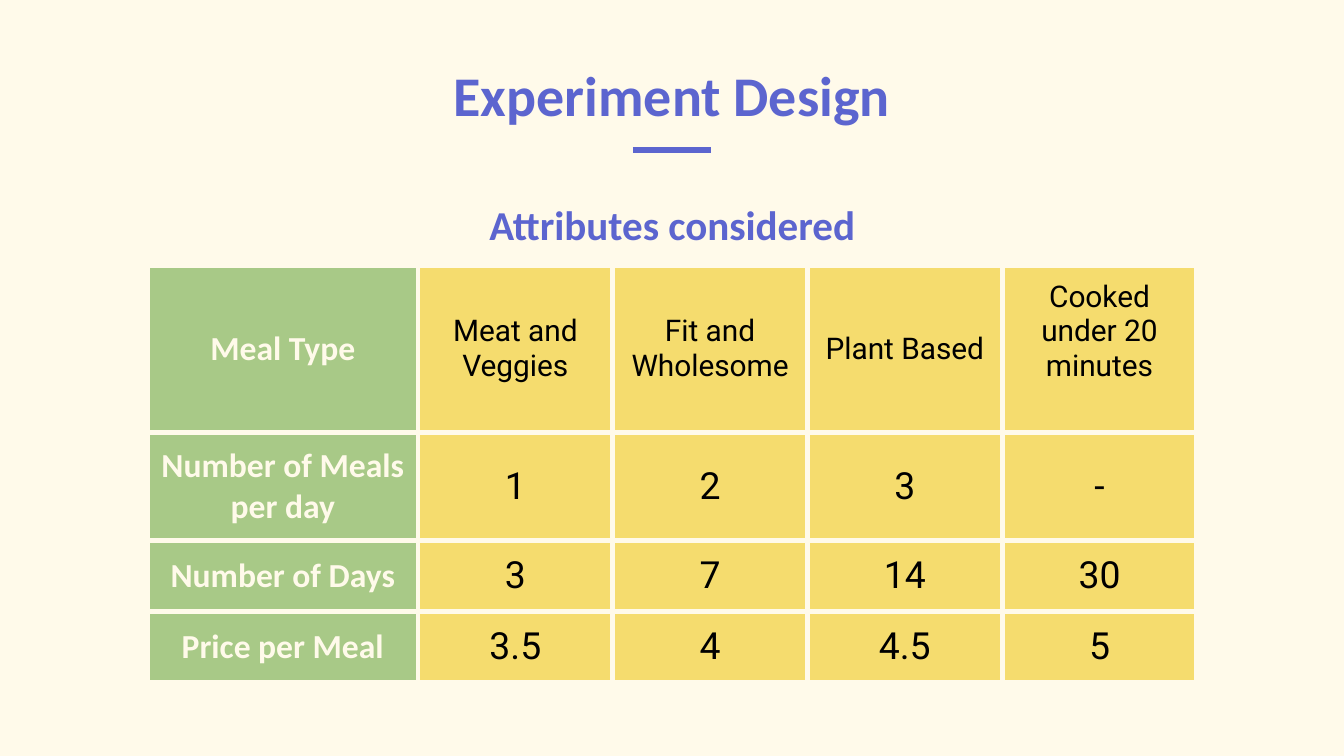
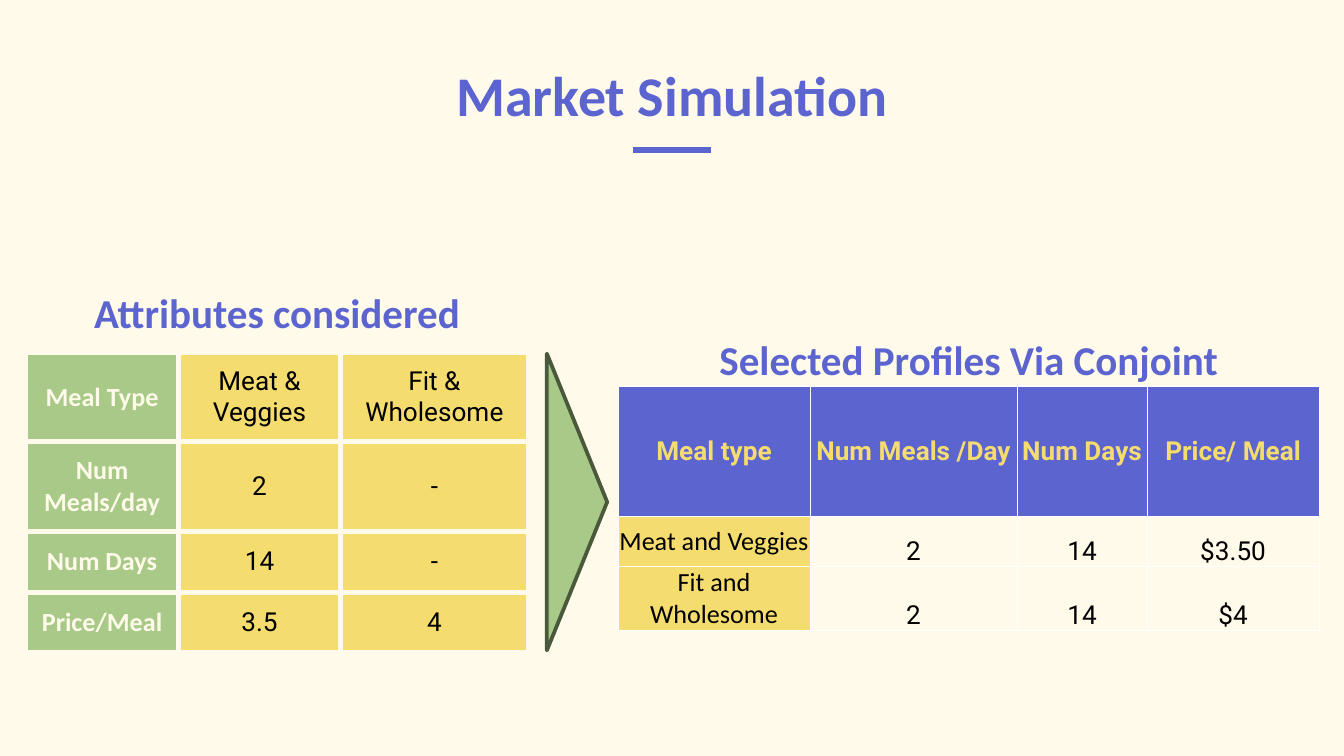
"""Build two slides on the design and simulation of a meal plan study."""
import lxml.etree
import pptx
import pptx.dml.color
import pptx.enum.shapes
import pptx.enum.text
import pptx.oxml.ns
import pptx.util

Cm = pptx.util.Cm
Pt = pptx.util.Pt
CENTER = pptx.enum.text.PP_ALIGN.CENTER
MIDDLE = pptx.enum.text.MSO_ANCHOR.MIDDLE
BOTTOM = pptx.enum.text.MSO_ANCHOR.BOTTOM
qn = pptx.oxml.ns.qn

COLORS = {
    "cream": "FFFAEA",
    "indigo": "5C65CF",
    "green": "A8C987",
    "moss": "4A583B",
    "yellow": "F5DC6E",
    "white": "FFFFFF",
    "black": "000000",
}


def look(color, size, name="Calibri", bold=True, fill=None, anchor=MIDDLE):
    font = {"name": name, "size": Pt(size), "bold": bold}
    return {"color": color, "font": font, "fill": fill, "anchor": anchor}


LOOKS = {
    "title": look("indigo", 30, anchor=BOTTOM),
    "caption": look("indigo", 22),
    "low caption": look("indigo", 22, anchor=BOTTOM),
    "label": look("cream", 18, fill="green"),
    "small label": look("cream", 14, fill="green"),
    "option": look("black", 16, "Roboto", False, "yellow"),
    "level": look("black", 20, "Roboto", False, "yellow"),
    "small level": look("black", 14, "Roboto", False, "yellow"),
    "heading": look("yellow", 14, "Roboto", True, "indigo"),
    "profile": look("black", 14, "Calibri", False, "yellow"),
    "figure": look("black", 14, "Roboto", False, None, BOTTOM),
}


class Deck:
    def __init__(self):
        self.presentation = pptx.Presentation()
        self.presentation.slide_width = Cm(25.4)
        self.presentation.slide_height = Cm(14.29)
        self.paint(self.presentation.slide_master.background.fill, "cream")
        self.slide = None

    def rgb(self, color):
        return pptx.dml.color.RGBColor.from_string(COLORS[color])

    def assign(self, target, values):
        for attribute, value in values.items():
            setattr(target, attribute, value)

    def paint(self, fill, color):
        if color is None:
            fill.background()
        else:
            fill.solid()
            fill.fore_color.rgb = self.rgb(color)

    def stroke(self, line, color, width):
        line.color.rgb = self.rgb(color)
        line.width = Pt(width)

    def put_text(self, frame, text, style):
        frame.text = text
        paragraph = frame.paragraphs[0]
        paragraph.alignment = CENTER
        font = paragraph.runs[0].font
        self.assign(font, style["font"])
        font.color.rgb = self.rgb(style["color"])

    def margins(self, target, size):
        sides = ("left", "top", "right", "bottom")
        self.assign(target, {f"margin_{side}": Cm(size) for side in sides})

    def place(self, shape, left, top, width, height):
        self.assign(shape, {"left": Cm(left), "top": Cm(top),
                            "width": Cm(width), "height": Cm(height)})

    def start(self, heading):
        layout = self.presentation.slide_layouts[5]
        self.slide = self.presentation.slides.add_slide(layout)
        title = self.slide.shapes.title
        self.place(title, 1.98, 0.56, 21.44, 2.11)
        self.put_text(title.text_frame, heading, LOOKS["title"])
        self.margins(title.text_frame, 0.25)
        self.assign(title.text_frame, {
            "vertical_anchor": LOOKS["title"]["anchor"],
            "word_wrap": True,
            "auto_size": pptx.enum.text.MSO_AUTO_SIZE.NONE,
        })
        self.rule(11.96, 13.44, 2.84)

    def rule(self, start, end, top):
        rule = self.slide.shapes.add_connector(
            pptx.enum.shapes.MSO_CONNECTOR.STRAIGHT,
            Cm(start), Cm(top), Cm(end), Cm(top))
        self.stroke(rule.line, "indigo", 3)
        lxml.etree.SubElement(rule._element.spPr, qn("a:effectLst"))

    def triangle(self, left, top, width, height):
        pointer = self.slide.shapes.add_shape(
            pptx.enum.shapes.MSO_SHAPE.ISOSCELES_TRIANGLE,
            Cm(left), Cm(top), Cm(width), Cm(height))
        pointer.rotation = 90
        pointer.shadow.inherit = False
        self.paint(pointer.fill, "green")
        self.stroke(pointer.line, "moss", 2)

    def border(self, cell, color, width, sides="LRTB"):
        properties = cell._tc.get_or_add_tcPr()
        for side in "LRTB":
            edge = lxml.etree.SubElement(properties, qn(f"a:ln{side}"), w=str(Pt(width)))
            if side in sides:
                fill = lxml.etree.SubElement(edge, qn("a:solidFill"))
                lxml.etree.SubElement(fill, qn("a:srgbClr"), val=COLORS[color])
            else:
                lxml.etree.SubElement(edge, qn("a:noFill"))

    def table(self, left, top, widths, rows, line, margin, caption_sides="LRTB"):
        frame = self.slide.shapes.add_table(
            len(rows), len(widths), Cm(left), Cm(top),
            Cm(sum(widths)), Cm(sum(row[0] for row in rows)))
        table = frame.table
        self.assign(table, {"first_row": False, "horz_banding": False})
        for column, width in zip(table.columns, widths):
            column.width = Cm(width)
        for index, (height, first, rest, texts) in enumerate(rows):
            table.rows[index].height = Cm(height)
            for position, cell in enumerate(table.rows[index].cells):
                style = LOOKS[rest if position else first]
                self.border(cell, *line, "LRTB" if index else caption_sides)
                self.paint(cell.fill, style["fill"])
                self.margins(cell, margin)
                cell.vertical_anchor = style["anchor"]
                if position < len(texts):
                    self.put_text(cell.text_frame, texts[position], style)
        table.cell(0, 0).merge(table.cell(0, len(widths) - 1))
        return table


def experiment_design(deck):
    deck.start("Experiment Design")
    attributes = deck.table(2.79, 3.56, [5.11] + [3.68] * 4, [
        (1.46, "caption", "caption", ["Attributes considered"]),
        (3.15, "label", "option", ["Meal Type", "Meat and Veggies", "Fit and Wholesome",
                                   "Plant Based", "Cooked under 20 minutes"]),
        (2.04, "label", "level", ["Number of Meals per day", "1", "2", "3", "-"]),
        (1.34, "label", "level", ["Number of Days", "3", "7", "14", "30"]),
        (1.34, "label", "level", ["Price per Meal", "3.5", "4", "4.5", "5"]),
    ], ("cream", 3), 0.25)
    attributes.cell(1, 4).margin_bottom = Cm(0.9)


def market_simulation(deck):
    deck.start("Market Simulation")
    deck.table(0.48, 5.21, [2.9, 3.05, 3.56], [
        (1.46, "caption", "caption", ["Attributes considered"]),
        (1.68, "small label", "small level", ["Meal Type", "Meat & Veggies", "Fit & Wholesome"]),
        (1.7, "small label", "small level", ["Num Meals/day", "2", "-"]),
        (1.14, "small label", "small level", ["Num Days", "14", "-"]),
        (1.14, "small label", "small level", ["Price/Meal", "3.5", "4"]),
    ], ("cream", 3), 0.25)
    deck.triangle(8.1, 8.92, 5.61, 1.14)
    deck.table(11.68, 5.84, [3.63, 3.91, 2.46, 3.25], [
        (1.47, "low caption", "low caption", ["Selected Profiles Via Conjoint"]),
        (2.46, "heading", "heading", ["Meal type", "Num Meals /Day", "Num Days", "Price/ Meal"]),
        (0.94, "profile", "figure", ["Meat and Veggies", "2", "14", "$3.50"]),
        (1.21, "profile", "figure", ["Fit and Wholesome", "2", "14", "$4"]),
    ], ("white", 0.5), 0, "B")


def main():
    deck = Deck()
    experiment_design(deck)
    market_simulation(deck)
    deck.presentation.save("out.pptx")


if __name__ == "__main__":
    main()
